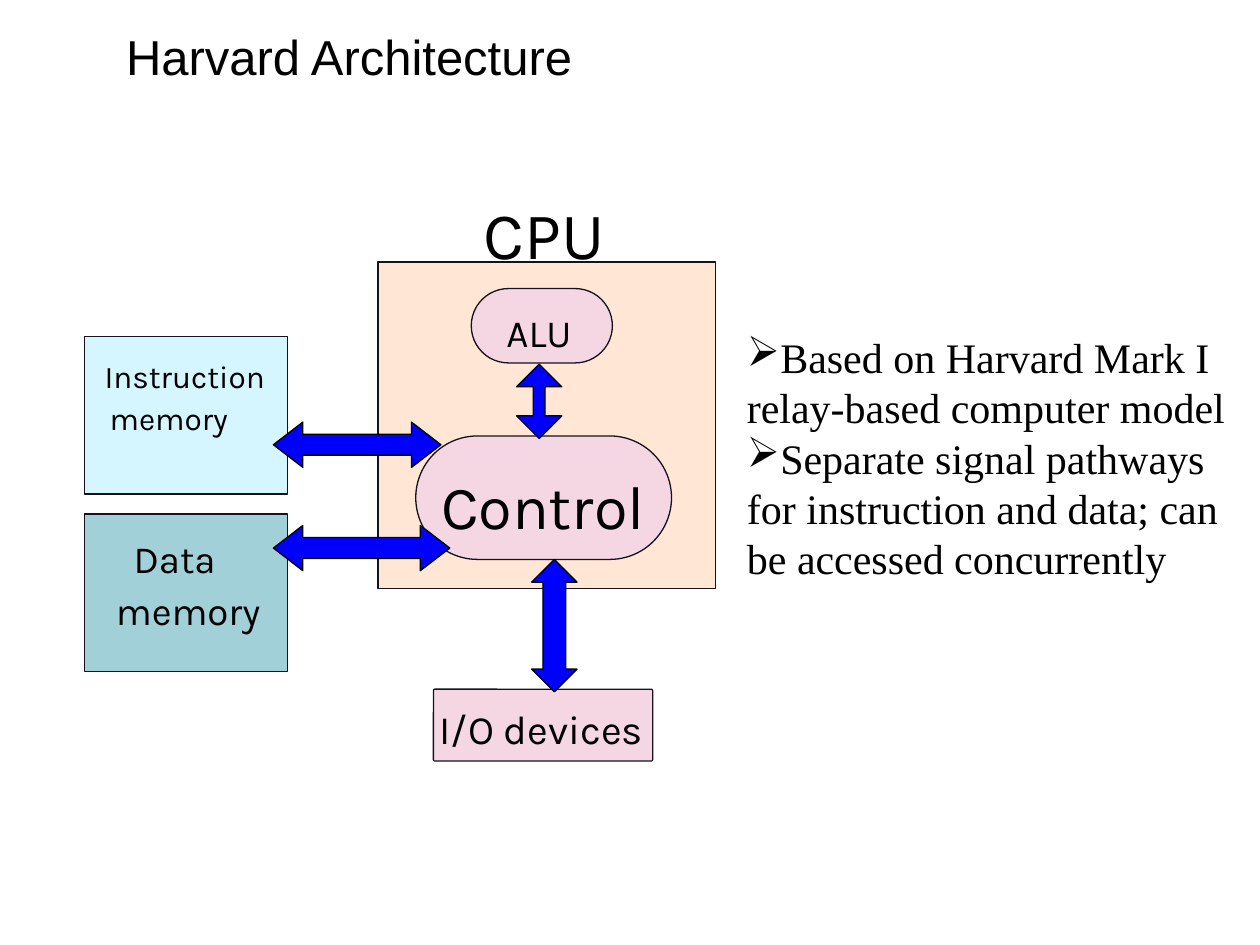
from pptx import Presentation
from pptx.dml.color import RGBColor
from pptx.enum.shapes import MSO_SHAPE
from pptx.enum.text import PP_ALIGN
from pptx.oxml.ns import qn
from pptx.util import Inches, Pt
from lxml import etree

BLACK = RGBColor(0x00, 0x00, 0x00)
OUTLINE = RGBColor(0x15, 0x11, 0x1D)
TEAL = RGBColor(0xA2, 0xD0, 0xD9)
PEACH = RGBColor(0xFF, 0xE6, 0xD5)
PALE_BLUE = RGBColor(0xD5, 0xF6, 0xFF)
PINK = RGBColor(0xF4, 0xD7, 0xE3)
BLUE = RGBColor(0x00, 0x00, 0xFF)

# kind, box, fill, adjustment
BLOCKS = [
    (MSO_SHAPE.RECTANGLE, (0.67, 4.08, 1.61, 1.25), TEAL, None),
    (MSO_SHAPE.RECTANGLE, (3, 2.08, 2.68, 2.59), PEACH, None),
    (MSO_SHAPE.RECTANGLE, (0.67, 2.67, 1.61, 1.25), PALE_BLUE, None),
    (MSO_SHAPE.ROUNDED_RECTANGLE, (3.3, 3.46, 2.03, 0.98), PINK, 0.5),
    (MSO_SHAPE.ROUNDED_RECTANGLE, (3.74, 2.29, 1.12, 0.59), PINK, 0.5),
    (MSO_SHAPE.ROUNDED_RECTANGLE, (3.44, 5.47, 1.74, 0.57), PINK, 0.02),
]
# text, box, size
LABELS = [
    ("CPU", (3.84, 1.53, 1.35, 0.7), 38),
    ("Control", (3.5, 3.72, 1.78, 0.65), 35),
    ("ALU", (4.02, 2.45, 0.73, 0.4), 22),
    ("Instruction", (0.83, 2.83, 1.34, 0.35), 18),
    ("memory", (0.87, 3.17, 1.1, 0.35), 18),
    ("Data", (1.06, 4.25, 0.81, 0.4), 22),
    ("memory", (0.92, 4.66, 1.24, 0.4), 22),
    ("I/O devices", (3.49, 5.59, 1.73, 0.43), 23),
]
# kind, box, head length relative to the arrow's thickness
ARROWS = [
    (MSO_SHAPE.LEFT_RIGHT_ARROW, (2.17, 4.17, 1.4, 0.36), 0.65),
    (MSO_SHAPE.UP_DOWN_ARROW, (4.22, 4.44, 0.36, 1.05), 0.5),
    (MSO_SHAPE.LEFT_RIGHT_ARROW, (2.17, 3.35, 1.33, 0.36), 0.65),
    (MSO_SHAPE.UP_DOWN_ARROW, (4.1, 2.89, 0.36, 0.59), 0.26),
]
SHAFT = 0.46
NOTES = [
    "Based on Harvard Mark I relay-based computer model",
    "Separate signal pathways for instruction and data; can be accessed concurrently",
]


def add_block(slide, kind, box, fill, line, adjustments=()):
    block = slide.shapes.add_shape(kind, *map(Inches, box))
    block.shadow.inherit = False
    block.fill.solid()
    block.fill.fore_color.rgb = fill
    block.line.color.rgb = line
    block.line.width = Pt(0)
    for index, value in enumerate(adjustments):
        block.adjustments[index] = value


def add_frame(slide, box, wrap, insets):
    frame = slide.shapes.add_textbox(*map(Inches, box)).text_frame
    frame.word_wrap = wrap
    for side, inset in insets.items():
        setattr(frame, f"margin_{side}", Inches(inset))
    return frame


def write(paragraph, text, font, size):
    paragraph.alignment = PP_ALIGN.LEFT
    run = paragraph.add_run()
    run.text = text
    run.font.name = font
    run.font.size = Pt(size)
    run.font.color.rgb = BLACK


def add_title(slide, box):
    frame = add_frame(slide, box, True, dict(left=0, right=0, top=0.07, bottom=0))
    write(frame.paragraphs[0], "Harvard Architecture", "Arial", 28)


def add_diagram(slide, box):
    """Draw the blocks, labels and arrows, shifted to the box's top left corner."""
    left, top = box[:2]

    def place(part):
        x, y, width, height = part
        return left + x, top + y, width, height

    for kind, part, fill, rounding in BLOCKS:
        adjustments = () if rounding is None else (rounding,)
        add_block(slide, kind, place(part), fill, OUTLINE, adjustments)
    for text, part, size in LABELS:
        frame = add_frame(slide, place(part), False,
                          dict(left=0, right=0, top=0, bottom=0))
        write(frame.paragraphs[0], text, "Karla", size)
    for kind, part, head in ARROWS:
        add_block(slide, kind, place(part), BLUE, BLACK, (SHAFT, head))


def add_notes(slide, box):
    frame = add_frame(slide, box, True, {})
    for index, note in enumerate(NOTES):
        paragraph = frame.add_paragraph() if index else frame.paragraphs[0]
        properties = paragraph._p.get_or_add_pPr()
        properties.set("marL", "0")
        properties.set("indent", "0")
        etree.SubElement(properties, qn("a:buChar"), char="➢")
        write(paragraph, note, "Times New Roman", 24)


def main():
    presentation = Presentation()
    presentation.slide_width = Inches(10)
    presentation.slide_height = Inches(7.5)
    slide = presentation.slides.add_slide(presentation.slide_layouts[6])
    add_title(slide, (1, 0.14, 8.11, 1.02))
    add_diagram(slide, (0, 0, 5.68, 6.04))
    add_notes(slide, (5.83, 2.58, 4.17, 2.12))
    presentation.save("out.pptx")


if __name__ == "__main__":
    main()
